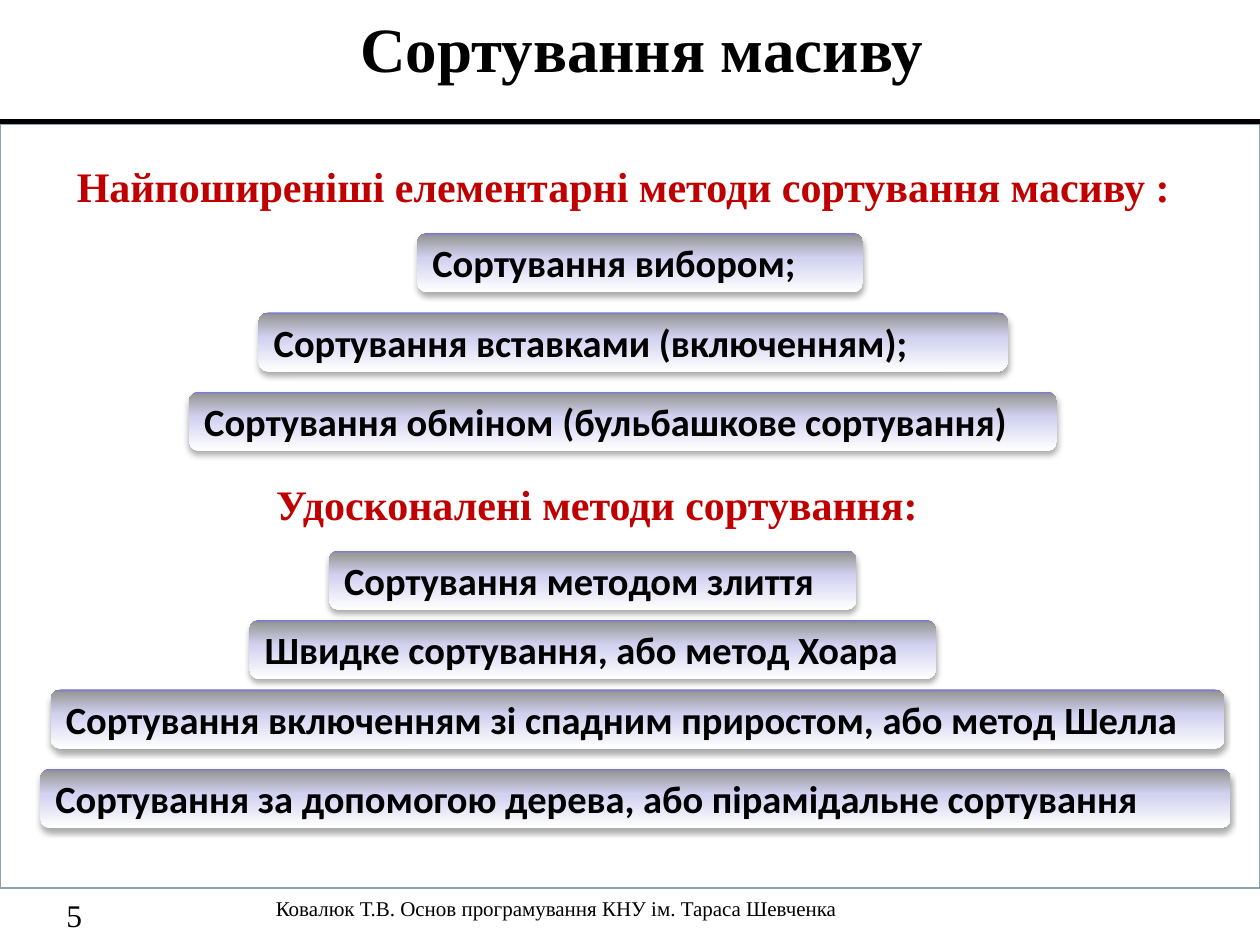
from lxml.etree import SubElement
from pptx import Presentation
from pptx.dml.color import RGBColor
from pptx.enum.shapes import MSO_CONNECTOR, MSO_SHAPE
from pptx.enum.text import MSO_ANCHOR, MSO_AUTO_SIZE, PP_ALIGN
from pptx.oxml.ns import qn
from pptx.util import Cm, Pt

SERIF = "Times New Roman"
BLACK, WHITE, RED, FRAME = "000000", "FFFFFF", "C00000", "8AA6A8"
BAR_GRADIENT = [(0, "7575D1"), (5, "999999"), (42, "D1D1F0"), (100, "FFFFFF")]
BAR_HEIGHT = 1.19

TITLE = {"name": SERIF, "size": Pt(36), "bold": True}
HEADING = {"name": SERIF, "size": Pt(24), "bold": True}
BAR = {"name": "Calibri", "size": Pt(22), "bold": True}
FOOTER = {"name": SERIF, "size": Pt(12), "bold": False}
NUMBER = {"name": SERIF, "size": Pt(18), "bold": False}

# left, top, width in centimetres, then the text
METHODS = [
    (8.41, 4.7, 8.99, "Сортування вибором;"),
    (5.21, 6.3, 15.11, "Сортування вставками (включенням);"),
    (3.81, 7.9, 17.5, "Сортування обміном (бульбашкове сортування)"),
    (6.63, 11.1, 10.64, "Cортування методом злиття"),
    (5.03, 12.5, 13.84, "Швидке сортування, або метод Хоара"),
    (1.02, 13.9, 23.67, "Сортування включенням зі спадним приростом, або метод Шелла"),
    (0.81, 15.5, 24, "Сортування за допомогою дерева, або пірамідальне сортування"),
]


def color(value):
    return RGBColor.from_string(value)


class SlideBuilder:
    """Holds the current slide and draws its elements, with lengths in centimetres."""

    def __init__(self, deck):
        self.page = deck.slides.add_slide(deck.slide_layouts[1])
        self.shapes = self.page.shapes

    def set_text(self, box, text, style, text_color=BLACK, align=PP_ALIGN.LEFT,
                 anchor=MSO_ANCHOR.TOP):
        frame = box.text_frame
        settings = {"word_wrap": True, "auto_size": MSO_AUTO_SIZE.NONE,
                    "vertical_anchor": anchor}
        for name, value in settings.items():
            setattr(frame, name, value)
        para = frame.paragraphs[0]
        para.alignment = align
        span = para.add_run()
        span.text = text
        for name, value in style.items():
            setattr(span.font, name, value)
        span.font.color.rgb = color(text_color)
        return para

    def line(self, left, top, right, bottom, width):
        rule = self.shapes.add_connector(
            MSO_CONNECTOR.STRAIGHT, Cm(left), Cm(top), Cm(right), Cm(bottom))
        rule.line.color.rgb = color(BLACK)
        rule.line.width = Pt(width)
        SubElement(rule.element.spPr, qn("a:effectLst"))

    def frame(self, *place):
        box = self.shapes.add_shape(MSO_SHAPE.RECTANGLE, *map(Cm, place))
        box.shadow.inherit = False
        box.fill.solid()
        box.fill.fore_color.rgb = color(WHITE)
        box.line.color.rgb = color(FRAME)
        box.line.width = Pt(1)

    def label(self, place, text, style, text_color=BLACK):
        box = self.shapes.add_textbox(*map(Cm, place))
        self.set_text(box, text, style, text_color)

    def placeholder(self, index, place, text, style, **options):
        """Places a template placeholder in front of what is already drawn."""
        box = self.page.placeholders[index]
        for name, value in zip(("left", "top", "width", "height"), place):
            setattr(box, name, Cm(value))
        self.shapes.element.append(box.element)
        return self.set_text(box, text, style, **options)

    def title(self, place, text):
        self.placeholder(0, place, text, TITLE, align=PP_ALIGN.CENTER,
                         anchor=MSO_ANCHOR.MIDDLE)

    def body_heading(self, place, text):
        para = self.placeholder(1, place, text, HEADING, text_color=RED)
        para.space_before = Pt(4.8)
        properties = para._p.get_or_add_pPr()
        properties.set("marL", "0")
        properties.set("indent", "0")
        SubElement(properties, qn("a:buNone"))

    def bar(self, left, top, width, text):
        box = self.shapes.add_shape(MSO_SHAPE.ROUNDED_RECTANGLE, Cm(left), Cm(top),
                                    Cm(width), Cm(BAR_HEIGHT))
        box.line.fill.background()
        box.fill.gradient()
        box.fill.gradient_angle = 270
        stops = box.element.spPr.find(".//" + qn("a:gsLst"))
        stops.clear()
        for position, value in BAR_GRADIENT:
            stop = SubElement(stops, qn("a:gs"), pos=str(position * 1000))
            SubElement(stop, qn("a:srgbClr"), val=value)
        self.soft_shadow(box)
        self.set_text(box, text, BAR, anchor=MSO_ANCHOR.MIDDLE)

    def soft_shadow(self, box):
        box.shadow.inherit = False
        effects = box.element.spPr.find(qn("a:effectLst"))
        shadow = SubElement(effects, qn("a:outerShdw"), blurRad=str(Pt(3.5)),
                            dist=str(Pt(2.2)), dir="5400000", rotWithShape="0")
        shade = SubElement(shadow, qn("a:srgbClr"), val=BLACK)
        SubElement(shade, qn("a:alpha"), val="32000")


def main():
    deck = Presentation()
    deck.slide_width, deck.slide_height = Cm(25.4), Cm(19.05)
    slide = SlideBuilder(deck)

    slide.label((5.31, 17.93, 13, 0.76),
                "Ковалюк Т.В. Основ програмування КНУ ім. Тараса Шевченка", FOOTER)
    slide.line(0, 2.51, 25.4, 2.51, width=6)
    slide.label((1.09, 17.93, 1.6, 1.02), "5", NUMBER)
    slide.frame(0, 2.51, 25.4, 15.4)

    slide.title((1.5, 0, 22.86, 1.9), "Сортування масиву")
    slide.label((1.3, 3.12, 22.71, 1.27),
                "Найпоширеніші елементарні методи сортування масиву :", HEADING, RED)
    slide.body_heading((5.31, 9.52, 14.68, BAR_HEIGHT), "Удосконалені методи сортування:")
    for method in METHODS:
        slide.bar(*method)

    deck.save("out.pptx")


if __name__ == "__main__":
    main()
